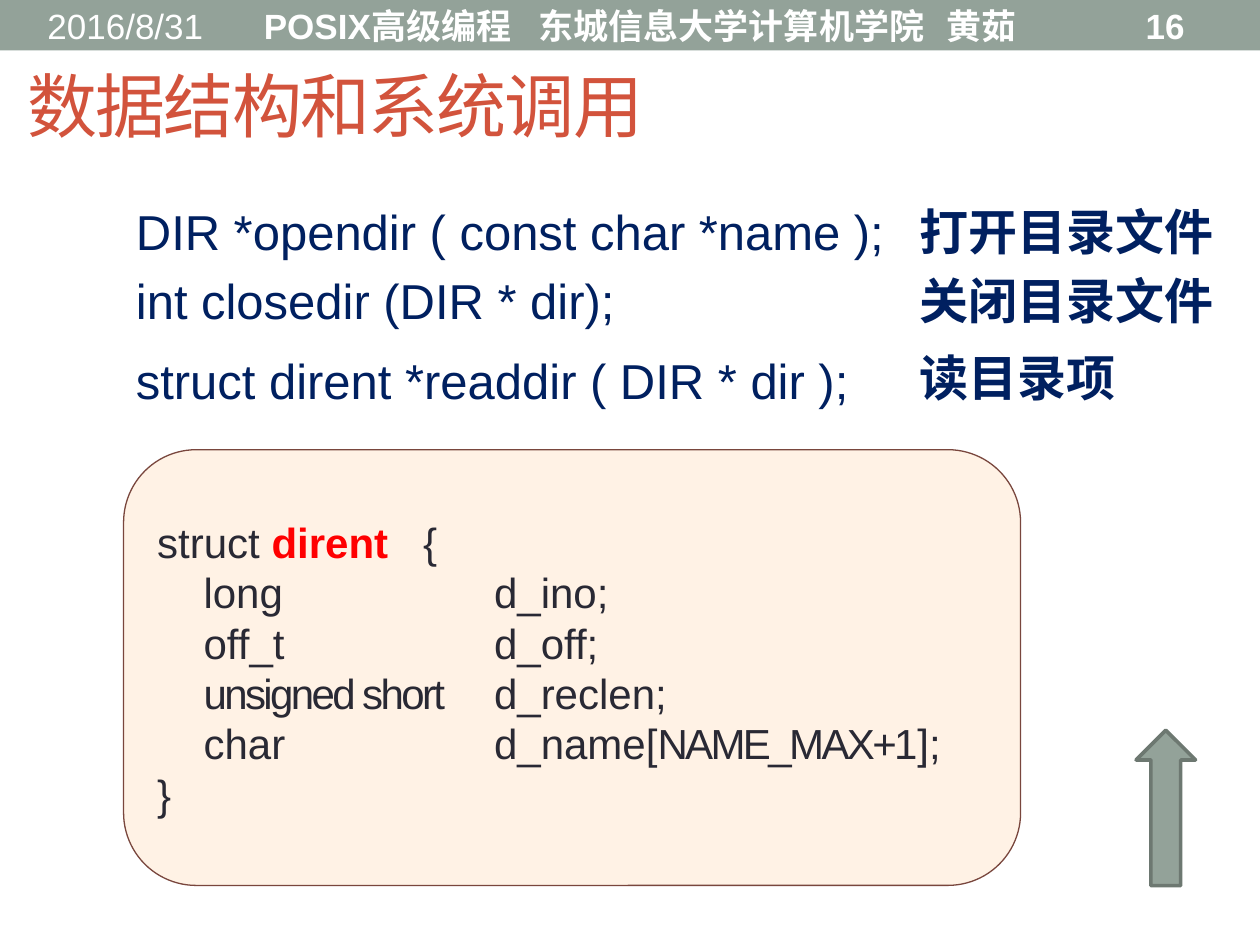
import dataclasses

import pptx
import pptx.dml.color
import pptx.enum.shapes
import pptx.enum.text
import pptx.oxml.ns
import pptx.util
from lxml import etree

Pt = pptx.util.Pt
Shape = pptx.enum.shapes.MSO_SHAPE
Align = pptx.enum.text.PP_ALIGN
Anchor = pptx.enum.text.MSO_ANCHOR
qn = pptx.oxml.ns.qn


@dataclasses.dataclass(frozen=True)
class Theme:
    sage: str = "93A299"
    edge: str = "6D7871"
    white: str = "FFFFFF"
    rust: str = "D2533C"
    navy: str = "002060"
    ink: str = "292934"
    red: str = "FF0000"
    cream: str = "FFF2E5"
    brown: str = "79463D"
    latin: str = "Arial"
    asian: str = "Noto Sans CJK SC"
    title: int = 40
    call: int = 28
    code: int = 24
    head: int = 20


theme = Theme()


def rgb(code):
    return pptx.dml.color.RGBColor.from_string(code)


def write(para, text, size, color, bold=False, face=theme.latin, gap=0,
          align=Align.LEFT, tabs=()):
    para.alignment = align
    if tabs:
        stops = etree.SubElement(para._p.get_or_add_pPr(), qn("a:tabLst"))
        for stop in tabs:
            etree.SubElement(stops, qn("a:tab"), pos=str(Pt(stop)), algn="l")
    run = para.add_run()
    run.text = text
    font = run.font
    font.size, font.bold, font.name = Pt(size), bold, face
    font.color.rgb = rgb(color)
    props = run._r.get_or_add_rPr()
    etree.SubElement(props, qn("a:ea"), typeface=theme.asian)
    if gap:
        props.set("spc", str(int(gap * 100)))


def add_box(slide, box, anchor=Anchor.TOP):
    frame = slide.shapes.add_textbox(*map(Pt, box)).text_frame
    frame.word_wrap = True
    frame.vertical_anchor = anchor
    return frame


def add_form(slide, kind, box, fill, line=None, width=0):
    form = slide.shapes.add_shape(kind, *map(Pt, box))
    form.shadow.inherit = False
    form.fill.solid()
    form.fill.fore_color.rgb = rgb(fill)
    if line:
        form.line.color.rgb = rgb(line)
        form.line.width = Pt(width)
    else:
        form.line.fill.background()
    return form


def add_head(slide, box):
    left, top, width, height = box
    add_form(slide, Shape.RECTANGLE, box, theme.sage)
    parts = (
        (20, 119, "2016/8/31", False, Align.LEFT, ()),
        (143.7, 450, "POSIX高级编程\t东城信息大学计算机学院\t黄茹", True,
         Align.LEFT, (157, 390)),
        (600, 84, "16", True, Align.RIGHT, ()),
    )
    for x, wide, text, bold, align, tabs in parts:
        area = (left + x, top + 1.5, wide, height - 3)
        frame = add_box(slide, area, Anchor.MIDDLE)
        write(frame.paragraphs[0], text, theme.head, theme.white, bold=bold,
              align=align, tabs=tabs)


def add_title(slide, box, text):
    title = slide.shapes.title
    title.left, title.top, title.width, title.height = map(Pt, box)
    frame = title.text_frame
    frame.auto_size = pptx.enum.text.MSO_AUTO_SIZE.NONE
    frame.vertical_anchor = Anchor.MIDDLE
    write(frame.paragraphs[0], text, theme.title, theme.rust, gap=-1)


def add_calls(slide, box):
    left, top, width, height = box
    rows = (
        (0, 0, "DIR *opendir ( const char *name );", "打开目录文件"),
        (39.5, 39.5, "int closedir (DIR * dir);", "关闭目录文件"),
        (85, 83.5, "struct dirent *readdir ( DIR * dir );", "读目录项"),
    )
    split = 448
    for low, side, call, note in rows:
        frame = add_box(slide, (left, top + low, split + 12, 41))
        write(frame.paragraphs[0], call, theme.call, theme.navy)
        frame = add_box(slide, (left + split, top + side, width - split, 41))
        write(frame.paragraphs[0], note, theme.call, theme.navy, bold=True,
              face=theme.asian)


def add_code(slide, box):
    form = add_form(slide, Shape.ROUNDED_RECTANGLE, box, theme.cream,
                    theme.brown, 0.75)
    frame = form.text_frame
    frame.word_wrap = True
    frame.vertical_anchor = Anchor.MIDDLE
    tight = {"gap": -1.5}
    inner = (26.5, 192.5)
    rows = (
        ((152,), [("struct ", {}),
                  ("dirent", {"color": theme.red, "bold": True}),
                  ("\t{", {})]),
        (inner, [("\tlong\td_ino;", {})]),
        (inner, [("\toff_t\td_off;", {})]),
        (inner, [("\t", {}), ("unsigned short", tight), ("\td_reclen;", {})]),
        (inner, [("\tchar\td_name[", {}), ("NAME_MAX+1", tight), ("];", {})]),
        ((), [("}", {})]),
    )
    for row, (tabs, runs) in enumerate(rows):
        para = frame.add_paragraph() if row else frame.paragraphs[0]
        for spot, (text, style) in enumerate(runs):
            look = {"size": theme.code, "color": theme.ink, **style}
            write(para, text, tabs=() if spot else tabs, **look)


def add_arrow(slide, box):
    add_form(slide, Shape.UP_ARROW, box, theme.sage, theme.edge, 2.08)


def main():
    deck = pptx.Presentation()
    deck.slide_width, deck.slide_height = Pt(720), Pt(540)
    slide = deck.slides.add_slide(deck.slide_layouts[5])
    add_head(slide, (0, 0, 720, 28.8))
    add_title(slide, (8.6, 21, 648, 78), "数据结构和系统调用")
    add_calls(slide, (70.6, 111.6, 633, 126))
    add_code(slide, (70.6, 257, 512.6, 249))
    add_arrow(slide, (649.2, 417.3, 34, 88.8))
    deck.save("out.pptx")


if __name__ == "__main__":
    main()
